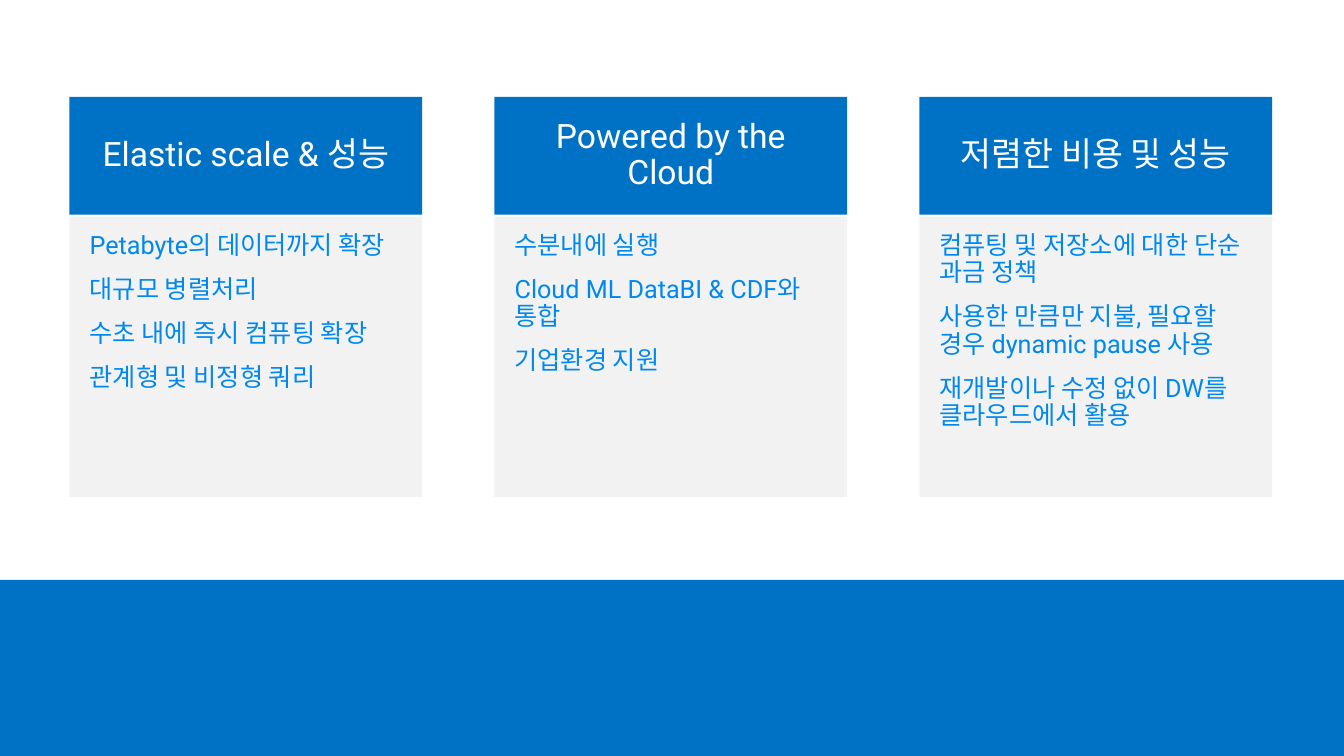
from dataclasses import dataclass

from pptx import Presentation
from pptx.dml.color import RGBColor
from pptx.enum.shapes import MSO_SHAPE
from pptx.enum.text import MSO_ANCHOR, MSO_AUTO_SIZE, PP_ALIGN
from pptx.util import Cm, Pt

RECTANGLE = MSO_SHAPE.RECTANGLE
MIDDLE = MSO_ANCHOR.MIDDLE
TOP = MSO_ANCHOR.TOP
CENTER = PP_ALIGN.CENTER
LEFT = PP_ALIGN.LEFT
GROW = MSO_AUTO_SIZE.SHAPE_TO_FIT_TEXT


@dataclass(frozen=True)
class Theme:
    font: str = "Roboto"
    blue: RGBColor = RGBColor(0x00, 0x72, 0xC6)
    panel: RGBColor = RGBColor(0xF2, 0xF2, 0xF2)
    heading_text: RGBColor = RGBColor(0xFF, 0xFF, 0xFF)
    benefit_text: RGBColor = RGBColor(0x00, 0x88, 0xEE)
    heading_size: Pt = Pt(24)
    benefit_size: Pt = Pt(18)


THEME = Theme()

SLIDE_WIDTH = Cm(33.87)
SLIDE_HEIGHT = Cm(19.05)
BAND_TOP = Cm(14.61)
FIRST_COLUMN = Cm(1.75)
COLUMN_STEP = Cm(10.71)
COLUMN_WIDTH = Cm(8.89)
HEADING_TOP = Cm(2.44)
HEADING_HEIGHT = Cm(2.97)
PANEL_TOP = Cm(5.46)
PANEL_HEIGHT = Cm(7.06)

COLUMNS = [
    ("Elastic scale & 성능", Cm(4.88), [
        "Petabyte의 데이터까지 확장",
        "대규모 병렬처리",
        "수초 내에 즉시 컴퓨팅 확장",
        "관계형 및 비정형 쿼리",
    ]),
    ("Powered by the Cloud", Cm(5.56), [
        "수분내에 실행",
        "Cloud ML DataBI & CDF와 통합",
        "기업환경 지원",
    ]),
    ("저렴한 비용 및 성능", Cm(5.84), [
        "컴퓨팅 및 저장소에 대한 단순 과금 정책",
        "사용한 만큼만 지불, 필요할 경우 dynamic pause 사용",
        "재개발이나 수정 없이 DW를 클라우드에서 활용",
    ]),
]


def add_block(slide, left, top, width, height, color):
    block = slide.shapes.add_shape(RECTANGLE, left, top, width, height)
    block.shadow.inherit = False
    block.fill.solid()
    block.fill.fore_color.rgb = color
    block.line.fill.background()
    return block


def write_lines(frame, lines, size, color, align, anchor, space_after):
    frame.word_wrap = True
    frame.vertical_anchor = anchor
    frame.margin_left = frame.margin_right = Cm(0.51)
    frame.margin_top = frame.margin_bottom = Cm(0.41)
    frame.text = "\n".join(lines)
    for paragraph in frame.paragraphs:
        paragraph.alignment = align
        paragraph.line_spacing = 0.9
        paragraph.space_after = space_after
        for run in paragraph.runs:
            run.font.name = THEME.font
            run.font.size = size
            run.font.color.rgb = color


def add_heading(slide, left, heading):
    block = add_block(slide, left, HEADING_TOP, COLUMN_WIDTH, HEADING_HEIGHT, THEME.blue)
    write_lines(block.text_frame, [heading], THEME.heading_size,
                THEME.heading_text, CENTER, MIDDLE, Pt(0))


def add_benefits(slide, left, height, benefits):
    frame = slide.shapes.add_textbox(left, PANEL_TOP, COLUMN_WIDTH, height).text_frame
    write_lines(frame, benefits, THEME.benefit_size,
                THEME.benefit_text, LEFT, TOP, Pt(12))
    frame.auto_size = GROW


def main():
    presentation = Presentation()
    presentation.slide_width = SLIDE_WIDTH
    presentation.slide_height = SLIDE_HEIGHT
    slide = presentation.slides.add_slide(presentation.slide_layouts.get_by_name("Blank"))

    add_block(slide, 0, BAND_TOP, SLIDE_WIDTH, SLIDE_HEIGHT - BAND_TOP, THEME.blue)
    for index, (heading, benefits_height, benefits) in enumerate(COLUMNS):
        left = FIRST_COLUMN + index * COLUMN_STEP
        add_block(slide, left, PANEL_TOP, COLUMN_WIDTH, PANEL_HEIGHT, THEME.panel)
        add_heading(slide, left, heading)
        add_benefits(slide, left, benefits_height, benefits)

    presentation.save("out.pptx")


if __name__ == "__main__":
    main()
